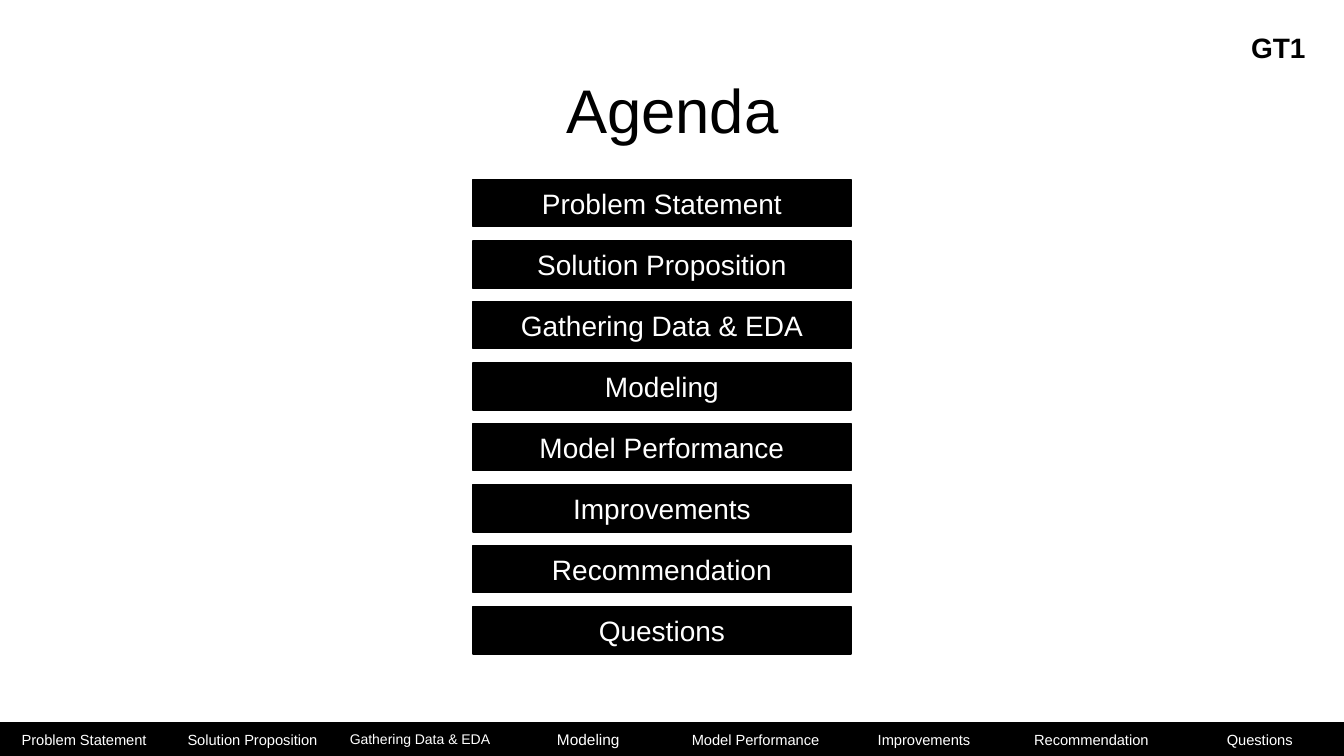
from pptx import Presentation
from pptx.dml.color import RGBColor
from pptx.enum.shapes import MSO_SHAPE
from pptx.enum.text import MSO_ANCHOR, MSO_AUTO_SIZE, PP_ALIGN
from pptx.util import Pt

RECT = MSO_SHAPE.RECTANGLE
MIDDLE, TOP = MSO_ANCHOR.MIDDLE, MSO_ANCHOR.TOP
CENTER, LEFT = PP_ALIGN.CENTER, PP_ALIGN.LEFT
NO_FIT, GROW = MSO_AUTO_SIZE.NONE, MSO_AUTO_SIZE.SHAPE_TO_FIT_TEXT

PX = 9144  # EMU per px, 100 px to the inch
COLORS = {"black": "000000", "white": "FFFFFF"}

# Agenda topic and its text size in the bottom navigation bar
TOPICS = [
    ("Problem Statement", 10.5),
    ("Solution Proposition", 10.5),
    ("Gathering Data & EDA", 10),
    ("Modeling", 11),
    ("Model Performance", 10.5),
    ("Improvements", 10.5),
    ("Recommendation", 10.5),
    ("Questions", 10.5),
]
AGENDA_TOP, AGENDA_LAST = 178, 602
NAV_LAST = 1166


def write(shape, text, size, color, align=CENTER, anchor=MIDDLE, bold=False):
    tf = shape.text_frame
    tf.word_wrap = True
    tf.vertical_anchor = anchor
    p = tf.paragraphs[0]
    p.alignment = align
    r = p.add_run()
    r.text = text
    for name, value in {"name": "Arial", "size": Pt(size), "bold": bold}.items():
        setattr(r.font, name, value)
    r.font.color.rgb = RGBColor.from_string(COLORS[color])
    return tf


def add_bar(s, box, text, size):
    bar = s.shapes.add_shape(RECT, *[v * PX for v in box])
    bar.shadow.inherit = False
    black = RGBColor.from_string(COLORS["black"])
    bar.fill.solid()
    bar.fill.fore_color.rgb = black
    bar.line.color.rgb = black
    bar.line.width = Pt(1)
    write(bar, text, size, "white")


prs = Presentation()
prs.slide_width, prs.slide_height = 1333 * PX, 750 * PX
s = prs.slides.add_slide(prs.slide_layouts[5])
s.background.fill.solid()
s.background.fill.fore_color.rgb = RGBColor.from_string(COLORS["white"])

title = s.shapes.title
title.left, title.top, title.width, title.height = [v * PX for v in (92, 40, 1150, 145)]
tf = write(title, "Agenda", 44, "black")
tf.auto_size = NO_FIT
tf.paragraphs[0].line_spacing = 0.9

steps = len(TOPICS) - 1
for i, (topic, _) in enumerate(TOPICS):
    top = AGENDA_TOP + round(i * (AGENDA_LAST - AGENDA_TOP) / steps)
    add_bar(s, (469, top, 375, 47), topic, 20)

for i, (topic, nav_size) in enumerate(TOPICS):
    add_bar(s, (round(i * NAV_LAST / steps), 717, 167, 33), topic, nav_size)

tag = s.shapes.add_textbox(*[v * PX for v in (1231, 25, 76, 44)])
tf = write(tag, "GT1", 20, "black", align=LEFT, anchor=TOP, bold=True)
tf.auto_size = GROW

prs.save("out.pptx")
